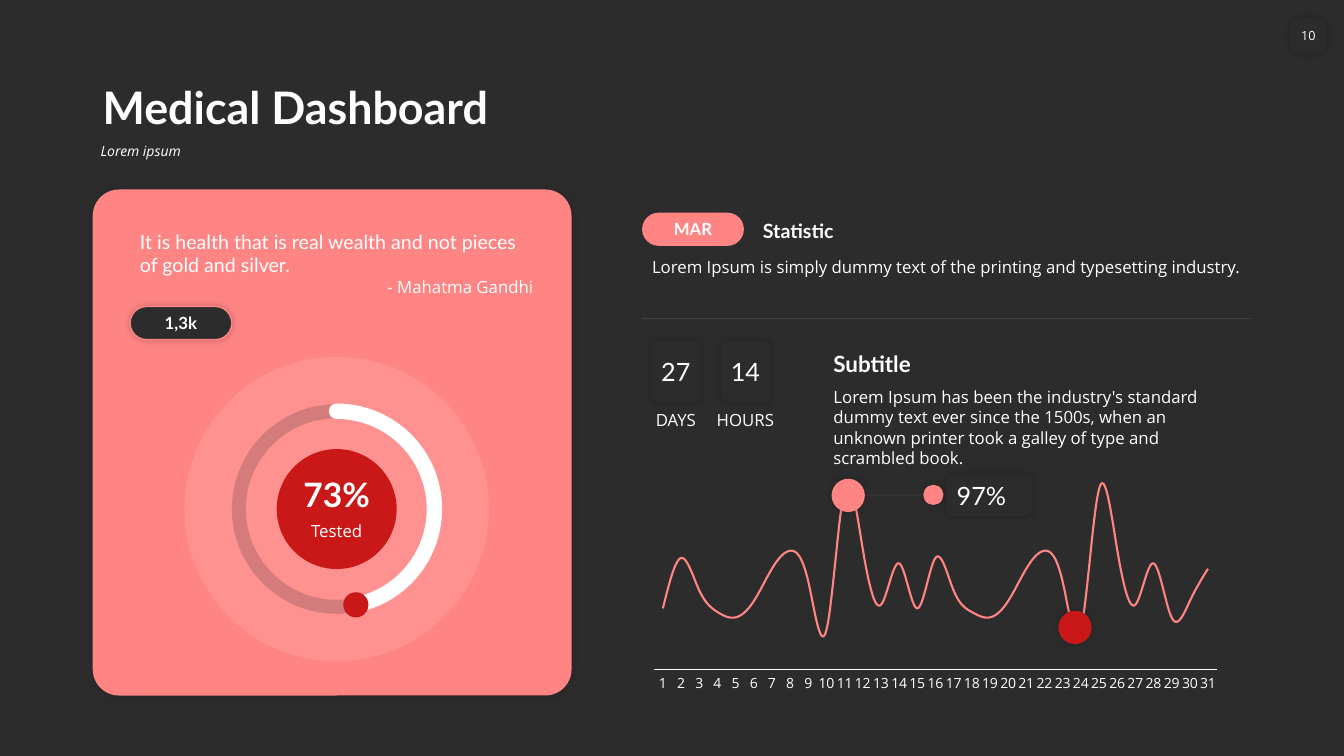
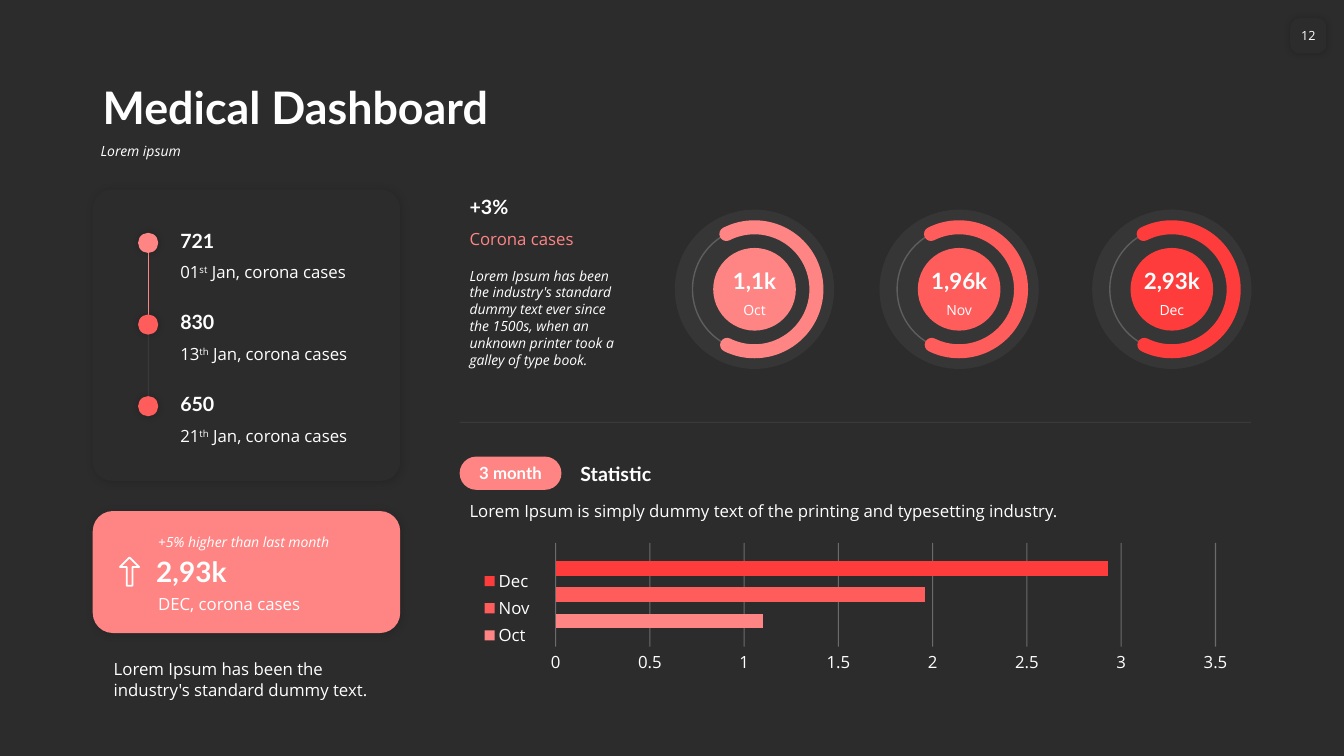
"""Two dark medical dashboard slides, laid out on a grid of tenths of an inch."""
from dataclasses import dataclass, field

from lxml import etree
from pptx import Presentation
from pptx import util as u
from pptx.chart.data import CategoryChartData
from pptx.dml.color import RGBColor
from pptx.enum import chart as ch, shapes, text
from pptx.oxml.ns import qn

SHAPE = shapes.MSO_SHAPE
ALIGN = {"l": text.PP_ALIGN.LEFT, "c": text.PP_ALIGN.CENTER, "r": text.PP_ALIGN.RIGHT}
ANCHOR = {"t": text.MSO_ANCHOR.TOP, "m": text.MSO_ANCHOR.MIDDLE, "b": text.MSO_ANCHOR.BOTTOM}


@dataclass
class Theme:
    dark: str = "2C2C2C"
    white: str = "FFFFFF"
    pink: str = "FF8585"
    coral: str = "FF5C5C"
    red: str = "FF3C3C"
    crimson: str = "CA1818"
    head: str = "Lato"
    body: str = "Open Sans"
    left: float = 9.2
    right: float = 124.1
    soft: tuple = (15, 6, 1)
    glow: tuple = (20, 5, 0)
    roles: dict = field(default_factory=lambda: {
        "title": ("head", 32, "b"), "hero": ("head", 24, "b"), "figure": ("head", 20, "b"),
        "number": ("head", 18, ""), "subtitle": ("head", 16, "b"), "heading": ("head", 14, "b"),
        "quote": ("head", 14, ""), "pill": ("head", 12, "b"), "body": ("body", 12, ""),
        "small": ("body", 10, ""), "note": ("body", 10, "i"), "page": ("body", 9, "")})


class Deck:
    def __init__(self, theme):
        self.t = theme
        self.prs = Presentation()
        self.prs.slide_width, self.prs.slide_height = self.grid(133.33, 75)
        self.s = None

    def grid(self, *cells):
        return [u.Inches(c / 10) for c in cells]

    def rgb(self, color):
        return RGBColor.from_string(color)

    def fade(self, element, query, alpha):
        for clr in element.xpath(query):
            etree.SubElement(clr, qn("a:alpha"), val=str(alpha * 1000))

    def font(self, f, role, color=None):
        family, size, style = self.t.roles[role]
        f.name, f.size = getattr(self.t, family), u.Pt(size)
        f.bold, f.italic = style == "b", style == "i"
        f.color.rgb = self.rgb(color or self.t.white)

    def slide(self, number, title, subtitle):
        self.s = self.prs.slides.add_slide(self.prs.slide_layouts[6])
        self.s.background.fill.solid()
        self.s.background.fill.fore_color.rgb = self.rgb(self.t.dark)
        self.text(9.2, 5.8, 115, 8, title, "title", anchor="b", spacing=0.9)
        self.text(9, 13.8, 115, 3.6, subtitle, "note", spacing=0.9)
        self.card(128, 1.8, 3.6, 3.5, self.t.dark, 0.9, self.t.glow, number, "page")

    def fill_text(self, sp, paragraphs, anchor, margin, color=None, spacing=None):
        tf = sp.text_frame
        tf.word_wrap, tf.vertical_anchor = True, ANCHOR[anchor]
        tf.margin_left, tf.margin_right = self.grid(margin, margin)
        tf.margin_top, tf.margin_bottom = self.grid(0.5, 0.5) if anchor != "m" else (0, 0)
        for i, (words, role, align) in enumerate(paragraphs):
            p = tf.add_paragraph() if i else tf.paragraphs[0]
            first, *rest = words.split("^")
            p.text, p.alignment, p.line_spacing = first, ALIGN[align], spacing
            for part in rest:
                p.add_run().text = part
            for k, r in enumerate(p.runs):
                self.font(r.font, role, color)
                if k % 2:
                    r.font._element.set("baseline", "30000")

    def text(self, x, y, w, h, words, role="body", align="l", anchor="t", margin=1, color=None, spacing=None):
        sp = self.s.shapes.add_textbox(*self.grid(x, y, w, h))
        paragraphs = [(words, role, align)] if isinstance(words, str) else words
        self.fill_text(sp, paragraphs, anchor, margin, color, spacing)

    def shape(self, kind, x, y, w, h, fill=None, alpha=None, line=None, weight=1, shadow=None):
        sp = self.s.shapes.add_shape(kind, *self.grid(x, y, w, h))
        if fill:
            sp.fill.solid()
            sp.fill.fore_color.rgb = self.rgb(fill)
        else:
            sp.fill.background()
        if line:
            sp.line.color.rgb, sp.line.width = self.rgb(line), u.Pt(weight)
        else:
            sp.line.fill.background()
        if alpha:
            self.fade(sp._element.spPr, ".//a:srgbClr", alpha)
        sp.shadow.inherit = False
        if shadow:
            opacity, blur, dist = shadow
            effects = sp._element.spPr.find(qn("a:effectLst"))
            outer = etree.SubElement(effects, qn("a:outerShdw"), blurRad=str(u.Pt(blur)),
                                     dist=str(u.Pt(dist)), dir="2700000", algn="ctr", rotWithShape="0")
            clr = etree.SubElement(outer, qn("a:srgbClr"), val="000000")
            etree.SubElement(clr, qn("a:alpha"), val=str(opacity * 1000))
        return sp

    def card(self, x, y, w, h, fill, radius, shadow=None, words="", role="pill", line=None, align="c", margin=0):
        sp = self.shape(SHAPE.ROUNDED_RECTANGLE, x, y, w, h, fill, line=line, shadow=shadow)
        sp.adjustments[0] = min(0.5, radius / min(w, h))
        if words:
            self.fill_text(sp, [(words, role, align)], "m", margin)

    def disc(self, cx, cy, d, fill=None, **style):
        return self.shape(SHAPE.OVAL, cx - d / 2, cy - d / 2, d, d, fill, **style)

    def arc(self, cx, cy, d, start, end, color, weight):
        sp = self.shape(SHAPE.ARC, cx - d / 2, cy - d / 2, d, d, line=color, weight=weight)
        sp.adjustments[0], sp.adjustments[1] = start * 0.6, end * 0.6
        sp._element.spPr.find(qn("a:ln")).set("cap", "rnd")

    def gauge(self, cx, cy, halo, ring, core, fill, alpha, track, arc, value, label, roles):
        self.disc(cx, cy, halo, self.t.white, alpha=alpha)
        self.disc(cx, cy, ring, line=track[0], weight=track[1], alpha=20)
        self.arc(cx, cy, ring, *arc)
        self.disc(cx, cy, core, fill)
        self.text(cx - core / 2, cy - 4, core, 5, value, roles[0], "c", "b", 0)
        self.text(cx - core / 2, cy + 0.7, core, 3, label, roles[1], "c", margin=0)

    def rule(self, x1, y1, x2, y2, color=None):
        sp = self.s.shapes.add_connector(shapes.MSO_CONNECTOR.STRAIGHT, *self.grid(x1, y1, x2, y2))
        sp.line.color.rgb, sp.line.width = self.rgb(color or self.t.white), u.Pt(0.5)
        if not color:
            self.fade(sp._element.spPr, ".//a:srgbClr", 10)
        etree.SubElement(sp._element.spPr, qn("a:effectLst"))

    def statistic(self, x, y, tag):
        self.card(x, y, 10.1, 3.3, self.t.pink, 2, words=tag)
        self.text(x + 11, y, 49.4, 3.4, "Statistic", "heading", anchor="b")
        self.text(x, y + 3.9, 60.5, 3,
                  "Lorem Ipsum is simply dummy text of the printing and typesetting industry.")

    def chart(self, kind, x, y, w, h, cats, series):
        data = CategoryChartData()
        data.categories = cats
        for name, values, _ in series:
            data.add_series(name, values)
        chart = self.s.shapes.add_chart(kind, *self.grid(x, y, w, h), data).chart
        self.font(chart.font, "small")
        chart.has_title = chart.has_legend = False
        chart.plots[0].vary_by_categories = False
        for axis in (chart.category_axis, chart.value_axis):
            axis.has_major_gridlines = False
            axis.major_tick_mark = axis.minor_tick_mark = ch.XL_TICK_MARK.NONE
        return chart

    def line_chart(self, x, y, w, h, cats, series):
        chart = self.chart(ch.XL_CHART_TYPE.LINE_STACKED, x, y, w, h, cats, series)
        for ser, (_, _, color) in zip(chart.plots[0].series, series):
            ser.smooth = True
            ser.marker.style = ch.XL_MARKER_STYLE.NONE
            ser.format.line.color.rgb, ser.format.line.width = self.rgb(color), u.Pt(1.5)
        chart.value_axis.visible = False
        axis = chart.category_axis
        self.font(axis.tick_labels.font, "small")
        axis._element.find(qn("c:txPr")).find(qn("a:bodyPr")).set("rot", "-60000000")
        axis.format.line.color.rgb, axis.format.line.width = self.rgb(self.t.white), u.Pt(0.75)

    def bar_chart(self, x, y, w, h, cats, series):
        chart = self.chart(ch.XL_CHART_TYPE.BAR_CLUSTERED, x, y, w, h, cats, series)
        plot, axis = chart.plots[0], chart.value_axis
        plot.gap_width, plot.overlap = 250, -80
        for ser, (_, _, color) in zip(plot.series, series):
            ser.format.fill.solid()
            ser.format.fill.fore_color.rgb = self.rgb(color)
        chart.category_axis.visible = False
        axis.has_major_gridlines = True
        grid = axis.major_gridlines.format.line
        grid.color.rgb, grid.width = self.rgb(self.t.white), u.Pt(0.75)
        self.fade(axis._element, "./c:majorGridlines//a:srgbClr", 30)
        axis.format.line.fill.background()
        self.font(axis.tick_labels.font, "body")
        chart.has_legend = True
        chart.legend.position = ch.XL_LEGEND_POSITION.LEFT
        chart.legend.include_in_layout = False
        self.font(chart.legend.font, "body")


def monthly_slide(d):
    t = d.t
    d.slide("10", "Medical Dashboard", "Lorem ipsum")
    d.card(t.left, 18.8, 47.5, 50.2, t.pink, 2.6, t.soft)
    d.text(12.9, 22.3, 41, 7.7, [
        ("It is health that is real wealth and not pieces of gold and silver.", "quote", "l"),
        ("- Mahatma Gandhi", "body", "r")])
    d.card(12.9, 30.4, 10.1, 3.3, t.dark, 2, t.glow, "1,3k", line=t.pink)
    d.gauge(33.4, 50.5, 30.2, 19.4, 11.9, t.crimson, 10, (t.dark, 10),
            (270, 74.93, t.white, 11), "73%", "Tested", ("hero", "body"))
    d.disc(35.3, 60, 2.5, t.crimson)

    d.statistic(63.7, 21.1, "MAR")
    d.rule(63.7, 31.6, t.right, 31.6)
    values = [34, 62, 44, 32, 29, 38, 56, 66, 49, 22, 100, 67, 36, 59]
    d.line_chart(63.7, 44.5, 58.2, 24.7, [str(day) for day in range(1, 32)],
                 [("Series 1", values * 2 + [29, 38, 56], t.pink)])
    for cx, number, unit in ((67.05, "27", "DAYS"), (73.95, "14", "HOURS")):
        d.card(cx - 2.45, 33.8, 4.9, 6.1, t.dark, 0.8, t.glow, number, "number")
        d.text(cx - 3.35, 40.2, 6.7, 3, unit, "body", "c", margin=0.4)
    d.text(81.7, 34.2, 42.6, 3.7, "Subtitle", "subtitle", anchor="b")
    d.text(81.7, 37.9, 42.6, 7.1, "Lorem Ipsum has been the industry's standard dummy text ever since "
           "the 1500s, when an unknown printer took a galley of type and scrambled book.")
    d.rule(85.8, 49.1, 91.9, 49.1)
    for cx, cy, size, color in ((84.15, 49.15, 3.3, t.pink), (106.65, 62.25, 3.3, t.crimson),
                                (92.6, 49.1, 2, t.pink)):
        d.disc(cx, cy, size, color, shadow=t.glow)
    d.card(93.9, 47.1, 8.5, 4.1, t.dark, 0.7, t.glow, "97%", "number", align="l", margin=0.8)


def quarter_slide(d):
    t = d.t
    d.slide("12", "Medical Dashboard", "Lorem ipsum")
    d.card(t.left, 50.7, 30.5, 12.1, t.pink, 2, t.soft)
    d.card(t.left, 18.8, 30.5, 28.9, t.dark, 1.9, t.soft)
    cases = (("721", "01^st^", t.pink), ("830", "13^th^", t.coral), ("650", "21^th^", t.coral))
    for i, (count, day, color) in enumerate(cases):
        y = 22.1 + 8.1 * i
        d.text(16.9, y, 20.6, 3.4, count, "heading", anchor="b")
        d.text(16.9, y + 3.4, 20.6, 3, day + " Jan, corona cases")
        if i < len(cases) - 1:
            d.rule(14.7, y + 3, 14.7, y + 9.2, None if i else color)
        d.disc(14.7, y + 2, 2, color, shadow=t.glow)
    arrow = d.shape(SHAPE.UP_ARROW, 11.9, 55.3, 1.9, 2.8, line=t.white, weight=1.25)
    arrow.adjustments[0], arrow.adjustments[1] = 0.3, 0.5
    d.text(14.7, 54.5, 22.8, 4.4, "2,93k", "figure", anchor="m", margin=0.8)
    d.text(14.7, 58.4, 22.8, 3, "DEC, corona cases")
    d.text(14.7, 52.4, 22.8, 2.7, "+5% higher than last month", "note")
    d.text(10.3, 64.9, 29.4, 5, "Lorem Ipsum has been the industry's standard dummy text.")

    d.text(45.6, 18.8, 16.5, 3.4, "+3%", "heading", anchor="b")
    d.text(45.6, 22.2, 16.5, 3, "Corona cases", color=t.pink)
    d.text(45.6, 26, 16.5, 11.1, "Lorem Ipsum has been the industry's standard dummy text ever since "
           "the 1500s, when an unknown printer took a galley of type book.", "note")
    months = ((74.85, "Oct", "1,1k", 1.1, t.pink), (95.15, "Nov", "1,96k", 1.96, t.coral),
              (116.25, "Dec", "2,93k", 2.93, t.red))
    for cx, month, count, _, color in months:
        d.gauge(cx, 28.7, 15.8, 12.3, 8.2, color, 5, (t.white, 1),
                (243.08, 116.19, color, 10), count, month, ("subtitle", "small"))
    d.rule(45.6, 41.9, t.right, 41.9)
    d.statistic(45.6, 45.3, "3 month")
    d.bar_chart(46.7, 53.6, 76.6, 13.5, ["1"],
                [(month, [value], color) for _, month, _, value, color in months])


def main():
    d = Deck(Theme())
    monthly_slide(d)
    quarter_slide(d)
    d.prs.save("out.pptx")


if __name__ == "__main__":
    main()
